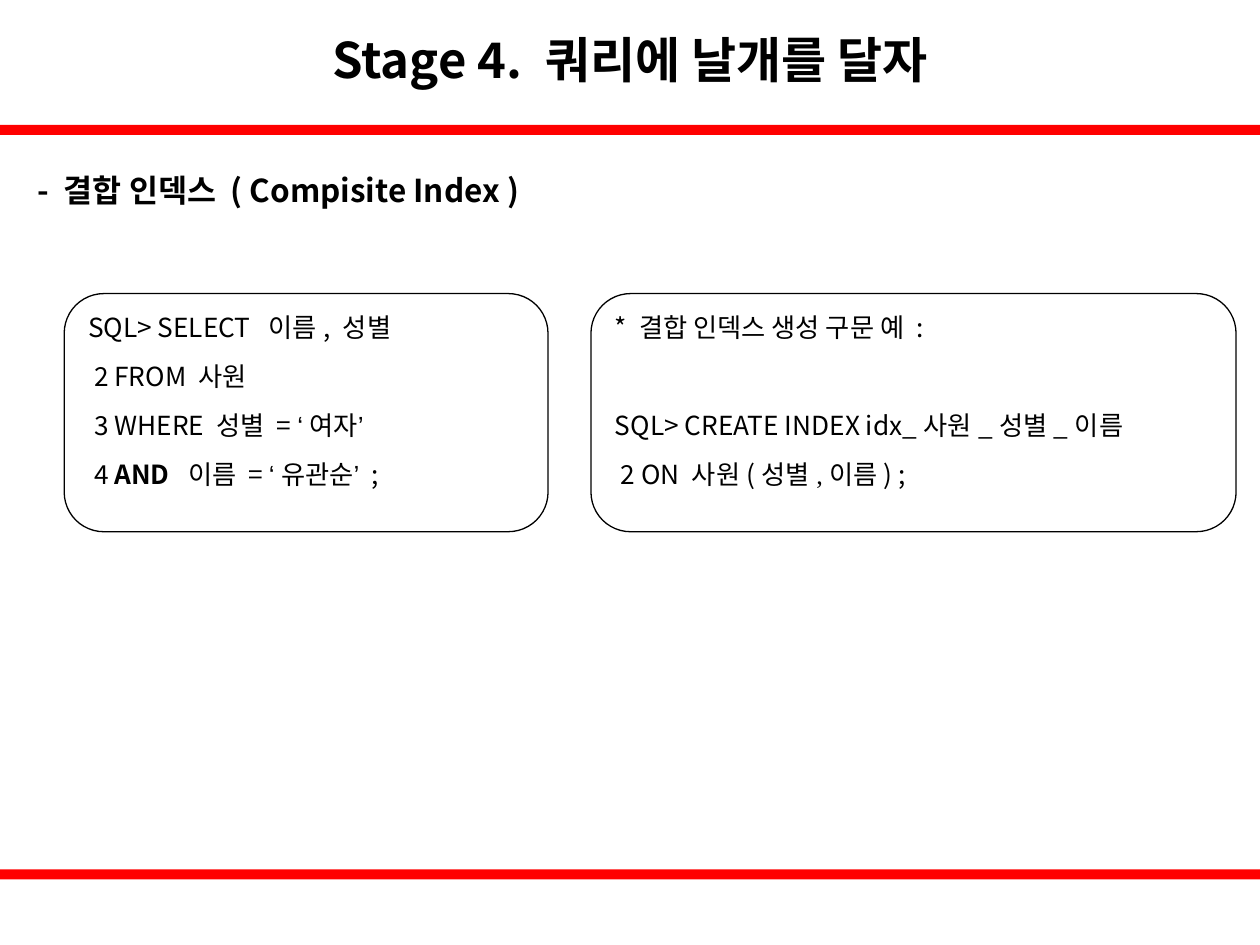
from lxml import etree
from pptx import Presentation
from pptx.dml.color import RGBColor
from pptx.enum.shapes import MSO_SHAPE
from pptx.enum.text import MSO_ANCHOR, PP_ALIGN
from pptx.oxml.ns import qn
from pptx.util import Inches, Pt

RECTANGLE, ROUNDED = MSO_SHAPE.RECTANGLE, MSO_SHAPE.ROUNDED_RECTANGLE
TOP, MIDDLE = MSO_ANCHOR.TOP, MSO_ANCHOR.MIDDLE
LEFT, CENTER, JUSTIFY = PP_ALIGN.LEFT, PP_ALIGN.CENTER, PP_ALIGN.JUSTIFY
BLACK = RGBColor(0x00, 0x00, 0x00)
WHITE = RGBColor(0xFF, 0xFF, 0xFF)
RED = RGBColor(0xFF, 0x00, 0x00)
KOREAN, QUOTE, SERIF = "Noto Sans CJK KR", "Arial", "Times New Roman"


def add_span(para, text, size, font=KOREAN, bold=False):
    span = para.add_run()
    span.text = text
    span.font.size = Pt(size)
    span.font.name = font
    span.font.bold = bold
    span.font.color.rgb = BLACK
    east_asian = etree.SubElement(span.font._element, qn("a:ea"))
    east_asian.set("typeface", font)


deck = Presentation()
deck.slide_width, deck.slide_height = Inches(10), Inches(7.5)
page = deck.slides.add_slide(deck.slide_layouts[6])

for top in (0.99, 6.9):
    bar = page.shapes.add_shape(RECTANGLE, 0, Inches(top), Inches(10), Inches(0.08))
    bar.shadow.inherit = False
    bar.fill.solid()
    bar.fill.fore_color.rgb = RED
    bar.line.fill.background()

headings = [
    ("Stage 4. 쿼리에 날개를 달자", (0.75, -0.34, 8.5, 1.61), 28, CENTER, MIDDLE, True),
    ("- 결합 인덱스 ( Compisite Index )", (0.2, 1.31, 4.15, 0.4), 18, LEFT, TOP, False),
]
for text, place, size, align, anchor, wrap in headings:
    box = page.shapes.add_textbox(*map(Inches, place))
    box.text_frame.word_wrap = wrap
    box.text_frame.vertical_anchor = anchor
    para = box.text_frame.paragraphs[0]
    para.alignment = align
    add_span(para, text, size, bold=True)

query_lines = [
    (10, [("SQL> SELECT  이름, 성별",)]),
    (10, [(" 2 FROM 사원",)]),
    (10, [(" 3 WHERE 성별 = ",), ("‘", QUOTE), ("여자",), ("’", QUOTE)]),
    (10, [(" 4 ",), ("AND  ", KOREAN, True), ("이름 = ",), ("‘", QUOTE),
          ("유관순",), ("’ ", QUOTE), (";",)]),
]
index_lines = [
    (38, [("* 결합 인덱스 생성 구문 예 : ",)]),
    (10, [("SQL> CREATE INDEX idx_사원_성별_이름",)]),
    (10, [(" 2 ON 사원(성별",), (",", SERIF), ("이름) ;",)]),
]
for left, width, lines in ((0.51, 3.84, query_lines), (4.69, 5.12, index_lines)):
    box = page.shapes.add_shape(ROUNDED, Inches(left), Inches(2.33), Inches(width), Inches(1.89))
    box.shadow.inherit = False
    box.fill.solid()
    box.fill.fore_color.rgb = WHITE
    box.line.color.rgb = BLACK
    box.line.width = Pt(0.75)
    frame = box.text_frame
    frame.word_wrap = True
    frame.vertical_anchor = TOP
    for number, (gap, spans) in enumerate(lines):
        para = frame.add_paragraph() if number else frame.paragraphs[0]
        para.alignment = JUSTIFY
        para.space_after = Pt(gap)
        for text, *style in spans:
            add_span(para, text, 15, *style)

deck.save("out.pptx")
